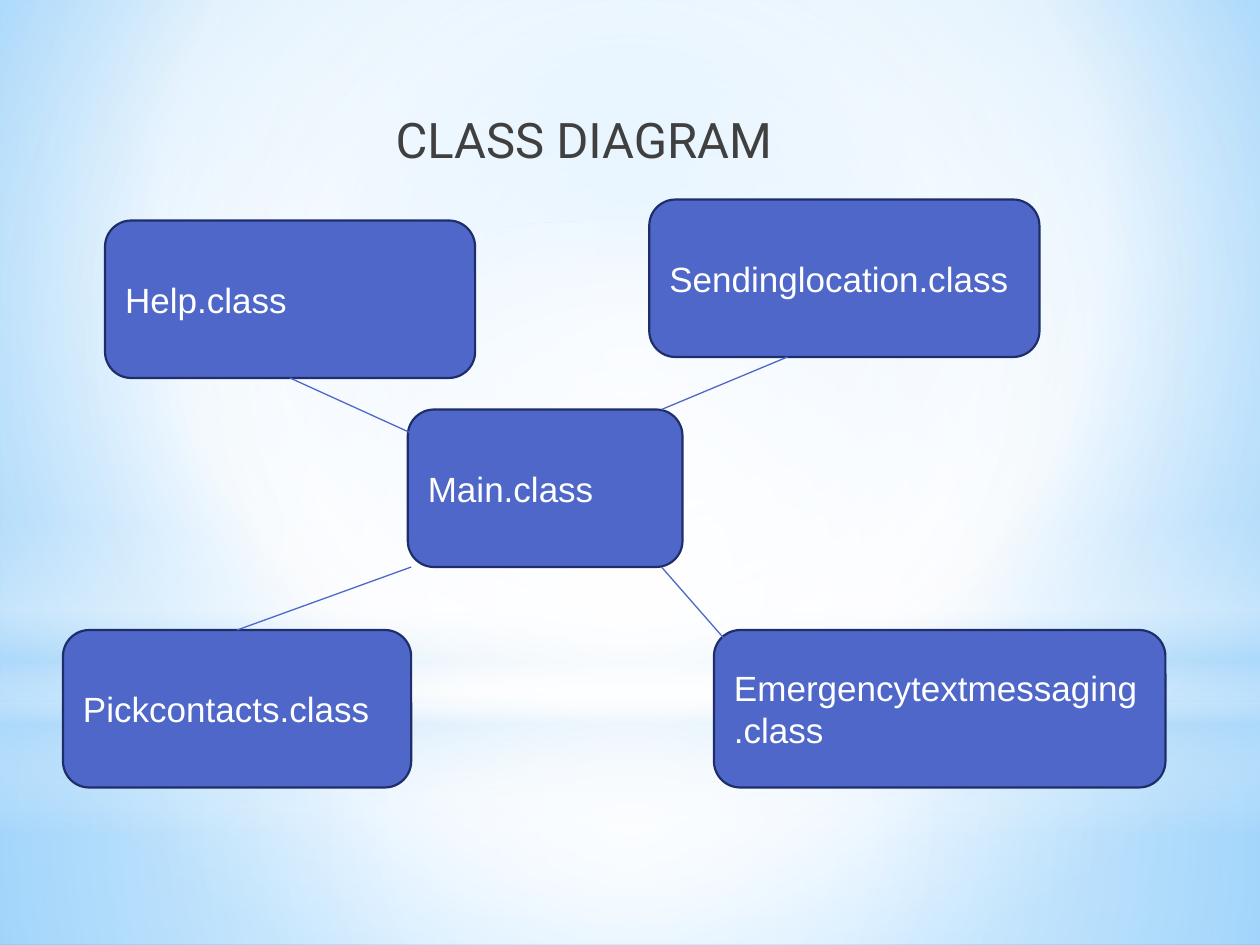
from pptx import Presentation
from pptx import util as u
from pptx.dml.color import RGBColor
from pptx.enum import shapes, text
from pptx.oxml import parse_xml
from pptx.oxml.ns import nsdecls

BOTTOM, TOP = 2, 0


def color(hex_string):
    return RGBColor.from_string(hex_string)


def gradient_xml(stops, focus=None):
    """Stops are (position, colour, opacity) in percent; no focus means top to bottom."""
    stop_xml = "".join(
        f'<a:gs pos="{pos * 1000}"><a:srgbClr val="{tint}">'
        f'<a:alpha val="{opacity * 1000}"/></a:srgbClr></a:gs>'
        for pos, tint, opacity in stops)
    if focus:
        sides = " ".join(f'{side}="{value * 1000}"' for side, value in zip("ltrb", focus))
        direction = f'<a:path path="circle"><a:fillToRect {sides}/></a:path>'
    else:
        direction = '<a:lin ang="5400000" scaled="0"/>'
    return (f'<a:gradFill {nsdecls("a")} rotWithShape="1">'
            f'<a:gsLst>{stop_xml}</a:gsLst>{direction}</a:gradFill>')


class ClassDiagram:
    box_fill, box_line, title_color = "4E67C8", "1F2E69", "404040"
    title_font, box_font = "Roboto", "Arial"
    center = (50, 50, 50, 50)

    def __init__(self, slide):
        self.slide = slide

    def set_gradient(self, owner, element, stops, focus):
        owner.fill.solid()
        solid = element.xpath(".//a:solidFill")[0]
        solid.getparent().replace(solid, parse_xml(gradient_xml(stops, focus)))

    def background(self, stops, focus):
        self.set_gradient(self.slide.background, self.slide.element, stops, focus)

    def glow(self, kind, top, height, stops, focus=None):
        glow = self.slide.shapes.add_shape(kind, 0, u.Pt(top), u.Pt(720), u.Pt(height))
        glow.shadow.inherit = False
        self.set_gradient(glow, glow.element, stops, focus)
        glow.line.fill.background()

    def format_text(self, frame, wording, font, size, tint):
        frame.text = wording
        frame.word_wrap = True
        frame.vertical_anchor = text.MSO_ANCHOR.MIDDLE
        paragraph = frame.paragraphs[0]
        paragraph.alignment = text.PP_ALIGN.LEFT
        for run in paragraph.runs:
            run.font.name, run.font.size = font, u.Pt(size)
            run.font.color.rgb = color(tint)

    def title(self, wording, left, top, width, height):
        title = self.slide.shapes.title
        title.left, title.top = u.Pt(left), u.Pt(top)
        title.width, title.height = u.Pt(width), u.Pt(height)
        frame = title.text_frame
        frame.auto_size = text.MSO_AUTO_SIZE.NONE
        frame.margin_left = frame.margin_right = frame.margin_top = frame.margin_bottom = 0
        self.format_text(frame, wording, self.title_font, 28, self.title_color)
        # Bring the title in front of the backdrop
        title.element.getparent().append(title.element)

    def class_box(self, wording, left, top, width, height=90):
        box = self.slide.shapes.add_shape(
            shapes.MSO_SHAPE.ROUNDED_RECTANGLE,
            u.Pt(left), u.Pt(top), u.Pt(width), u.Pt(height))
        box.shadow.inherit = False
        box.fill.solid()
        box.fill.fore_color.rgb = color(self.box_fill)
        box.line.color.rgb = color(self.box_line)
        box.line.width = u.Pt(1.25)
        self.format_text(box.text_frame, wording, self.box_font, 20, "FFFFFF")
        return box

    def link(self, start, end, box=None, side=None):
        link = self.slide.shapes.add_connector(
            shapes.MSO_CONNECTOR.STRAIGHT, *(u.Pt(value) for value in (*start, *end)))
        link.line.color.rgb = color(self.box_fill)
        link.line.width = u.Pt(0.75)
        link.element.spPr.append(parse_xml(f'<a:effectLst {nsdecls("a")}/>'))
        if box is not None:
            link.begin_connect(box, side)


def main():
    deck = Presentation()
    deck.slide_width, deck.slide_height = u.Pt(720), u.Pt(540)
    diagram = ClassDiagram(deck.slides.add_slide(deck.slide_layouts[5]))

    # Sky backdrop
    rectangle, oval = shapes.MSO_SHAPE.RECTANGLE, shapes.MSO_SHAPE.OVAL
    white, sky = "FFFFFF", "B4DCFA"
    diagram.background([(0, "9ED5FF", 100), (60, white, 100), (100, "5BB9FF", 100)],
                       (20, 10, 20, 60))
    diagram.glow(rectangle, 402, 138,
                 [(0, white, 91), (37, white, 76), (100, sky, 79)], diagram.center)
    diagram.glow(rectangle, 0, 402,
                 [(0, white, 89), (48, white, 62), (100, sky, 79)], diagram.center)
    diagram.glow(rectangle, 296.5, 180,
                 [(0, white, 0), (29, white, 30), (45, sky, 40),
                  (55, white, 26), (65, sky, 60), (100, white, 0)])
    diagram.glow(oval, 126, 402, [(0, white, 100), (56, white, 0)], diagram.center)

    # Title
    diagram.title("CLASS DIAGRAM", 226, 60, 260, 39)

    # Classes
    help_box = diagram.class_box("Help.class", 60, 126, 211.5)
    diagram.class_box("Sendinglocation.class", 371, 114, 223)
    diagram.class_box("Emergencytextmessaging.class", 408, 360, 258)
    contacts_box = diagram.class_box("Pickcontacts.class", 36, 360, 199)
    diagram.class_box("Main.class", 233, 234, 157)

    # Links to the main class
    diagram.link((135.5, 360), (235, 324), contacts_box, TOP)
    diagram.link((165.75, 216), (235, 247.5), help_box, BOTTOM)
    diagram.link((378, 234), (450, 204))
    diagram.link((378, 324), (420, 372))

    deck.save("out.pptx")


if __name__ == "__main__":
    main()
